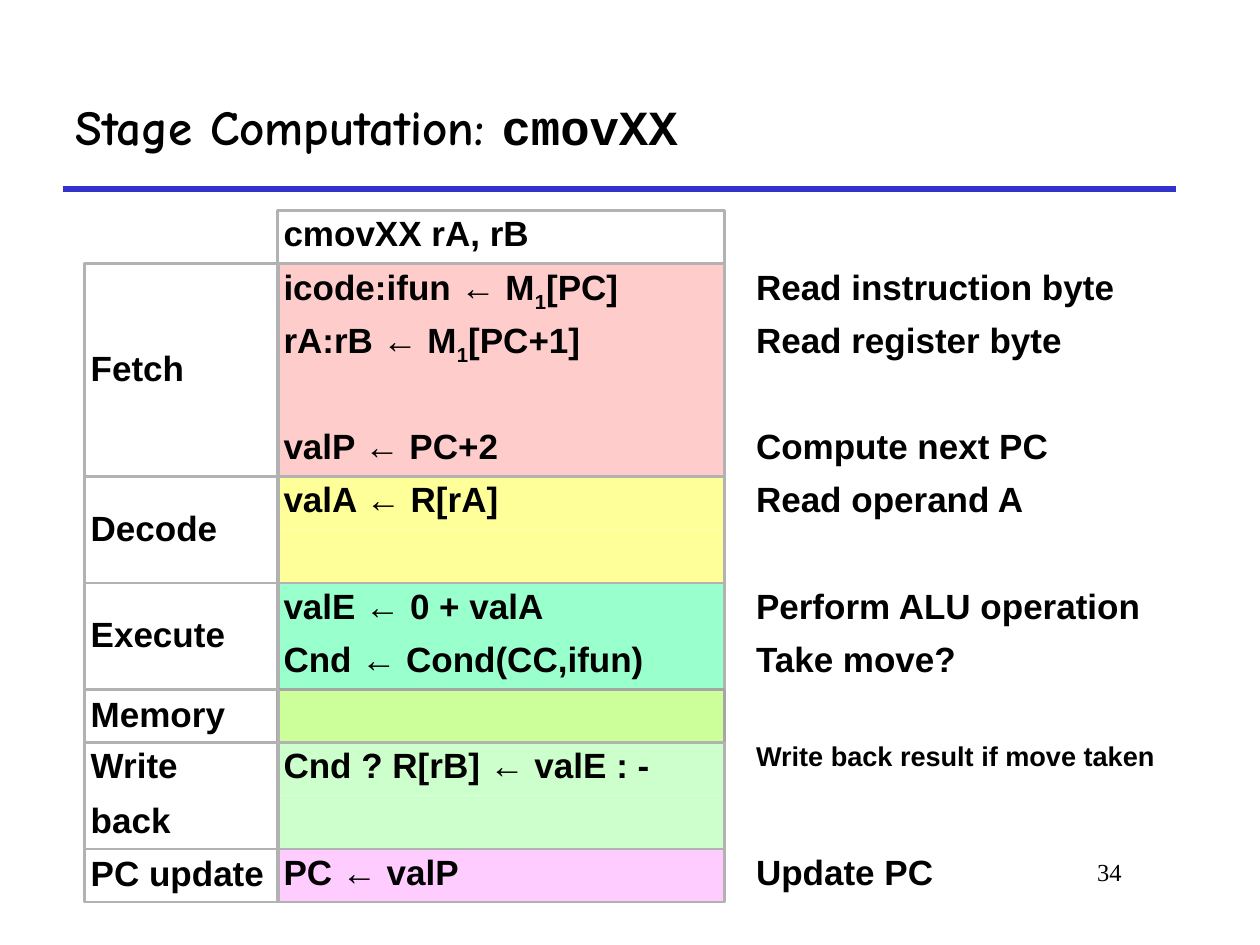
from pptx import Presentation
from pptx.dml.color import RGBColor
from pptx.enum.shapes import MSO_CONNECTOR, MSO_SHAPE
from pptx.enum.text import MSO_ANCHOR, PP_ALIGN
from pptx.oxml.ns import qn
from pptx.util import Inches, Pt
from lxml.etree import SubElement

GRID_TOP, ROW = 1.67, 5.49 / 13
STAGE = (0.67, 1.54)  # left and width of each column
WORK = (2.2, 3.55)
NOTE = (5.95, 3.55)
GREY = "B2B2B2"
BODY = {"name": "Arial", "size": Pt(20), "bold": True}
SMALL = {**BODY, "size": Pt(15.5)}

# Stage, fill, outline, computation per row, note per row; |n| is a subscript
STAGES = [
    ("Fetch", "FFCCCC", GREY,
     ["icode:ifun ← M|1|[PC]", "rA:rB ← M|1|[PC+1]", "", "valP ← PC+2"],
     ["Read instruction byte", "Read register byte", "", "Compute next PC"]),
    ("Decode", "FFFF99", GREY, ["valA ← R[rA]", ""], ["Read operand A", ""]),
    ("Execute", "99FFCC", GREY, ["valE ← 0 + valA", "Cnd ← Cond(CC,ifun)"],
     ["Perform ALU operation", "Take move?"]),
    ("Memory", "CCFF99", "A6A6A6", [""], [""]),
    ("Write\nback", "CCFFCC", GREY, ["Cnd ? R[rB] ← valE : -", ""],
     ["Write back result if move taken", ""]),
    ("PC update", "FFCCFF", GREY, ["PC ← valP"], ["Update PC"]),
]

deck = Presentation()
deck.slide_width, deck.slide_height = Inches(10), Inches(7.5)
page = deck.slides.add_slide(deck.slide_layouts[6])


def color(value):
    return RGBColor.from_string(value)


def add_box(column, row, rows=1, text="", fill=None, edge=None,
            anchor=MSO_ANCHOR.TOP, spacing=0.9, style=BODY):
    """Place a box on the grid; without fill and edge it is a text box."""
    place = [Inches(n) for n in (column[0], GRID_TOP + row * ROW, column[1], rows * ROW)]
    if fill or edge:
        box = page.shapes.add_shape(MSO_SHAPE.RECTANGLE, *place)
        box.shadow.inherit = False
    else:
        box = page.shapes.add_textbox(*place)
    if fill:
        box.fill.solid()
        box.fill.fore_color.rgb = color(fill)
    else:
        box.fill.background()
    if edge:
        box.line.color.rgb = color(edge)
        box.line.width = Pt(1.5)
    else:
        box.line.fill.background()
    frame = box.text_frame
    frame.word_wrap = True
    frame.vertical_anchor = anchor
    for side in ("left", "top", "right", "bottom"):
        setattr(frame, f"margin_{side}", Inches(0.05))
    for number, line in enumerate(text.split("\n") if text else []):
        para = frame.add_paragraph() if number else frame.paragraphs[0]
        para.alignment = PP_ALIGN.LEFT
        para.line_spacing = spacing
        if number:
            para.space_before = Pt(12.5)
        for index, part in enumerate(line.split("|")):
            span = para.add_run()
            span.text = part
            span.font.color.rgb = color("000000")
            for key, value in style.items():
                setattr(span.font, key, value)
            if index % 2:
                span.font._element.set("baseline", "-25000")


# Title, rule and slide number
rule = page.shapes.add_connector(
    MSO_CONNECTOR.STRAIGHT, Inches(0.5), Inches(1.5), Inches(9.33), Inches(1.5))
rule.line.color.rgb = color("3333CC")
rule.line.width = Pt(3)
SubElement(rule._element.spPr, qn("a:effectLst"))

TITLE = {"size": Pt(28), "bold": True}
for place, align, anchor, spans in [
    ((0.5, 0.5, 8.83, 1), PP_ALIGN.LEFT, MSO_ANCHOR.MIDDLE,
     [("Stage Computation: ", {**TITLE, "name": "Comic Neue"}),
      ("cmovXX", {**TITLE, "name": "Courier New"})]),
    ((7.58, 6.75, 1.42, 0.5), PP_ALIGN.RIGHT, MSO_ANCHOR.TOP,
     [("34", {"size": Pt(14), "name": "Times New Roman"})]),
]:
    frame = page.shapes.add_textbox(*[Inches(n) for n in place]).text_frame
    frame.word_wrap = True
    frame.vertical_anchor = anchor
    para = frame.paragraphs[0]
    para.alignment = align
    for text, style in spans:
        span = para.add_run()
        span.text = text
        span.font.color.rgb = color("000000")
        for key, value in style.items():
            setattr(span.font, key, value)

# Stage grid
add_box(WORK, 0, text="cmovXX rA, rB", edge=GREY)
top = 1
for stage, fill, edge, work, notes in STAGES:
    rows = len(work)
    for row, text in enumerate(work, top):
        add_box(WORK, row, text=text, fill=fill, edge=edge if rows == 1 else None,
                spacing=0.8 if "|" in text else 0.9)
    if rows > 1:
        add_box(WORK, top, rows, edge=edge)
    add_box(STAGE, top, rows, stage, edge=GREY, anchor=MSO_ANCHOR.MIDDLE,
            spacing=0.8 if "\n" in stage else 0.9)
    for row, text in enumerate(notes, top):
        if text:
            long = len(text) > 25
            add_box(NOTE, row, text=text, spacing=0.7 if long else 0.9,
                    style=SMALL if long else BODY)
    top += rows

deck.save("out.pptx")
